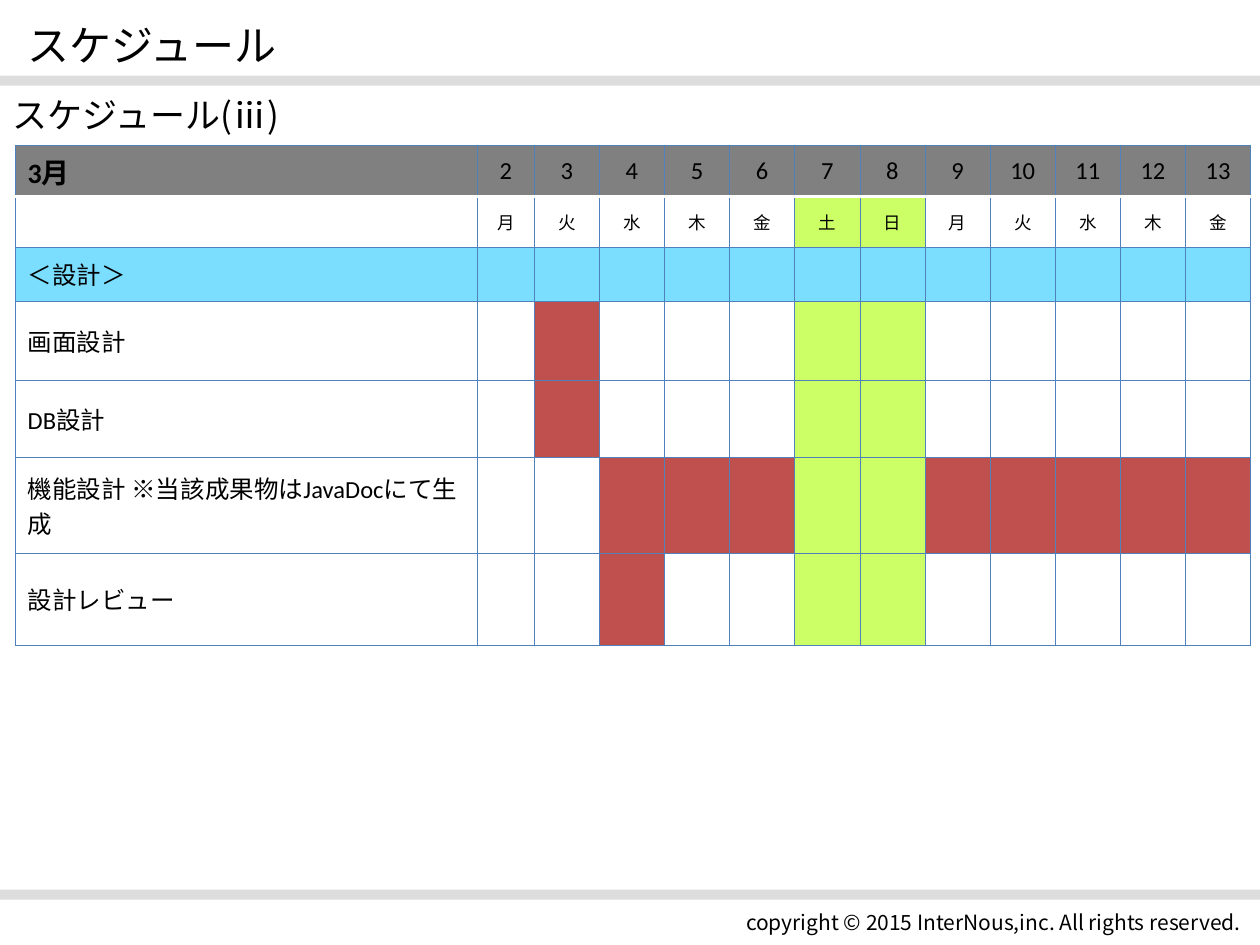
from lxml.etree import SubElement
from pptx import Presentation
from pptx.dml.color import RGBColor
from pptx.enum.shapes import MSO_SHAPE
from pptx.enum.text import MSO_ANCHOR, PP_ALIGN
from pptx.oxml.ns import qn
from pptx.util import Inches, Pt

COLORS = {
    "text": "000000", "bar": "DDDDDD", "header": "808080", "plain": "FFFFFF",
    "weekend": "CCFF66", "section": "7BDEFF", "work": "C0504D", "grid": "4F81BD",
}
JAPANESE_FONT = "Noto Sans CJK JP"
TABLE_FONT = "Calibri"
FIRST_DAY = 2
WEEKDAYS = "月火水木金土日月火水木金"
WEEKEND = "土日"
TASKS = [
    ("画面設計", {3}),
    ("DB設計", {3}),
    ("機能設計 ※当該成果物はJavaDocにて生成", {4, 5, 6, 9, 10, 11, 12, 13}),
    ("設計レビュー", {4}),
]
ROW_HEIGHTS = [0.41, 0.38, 0.43, 0.63, 0.61, 0.76, 0.73]
TABLE_LEFT, TABLE_TOP, TABLE_WIDTH = 0.12, 1.15, 9.81
TASK_WIDTH, FIRST_DAY_WIDTH = 3.67, 0.45


def rgb(role):
    return RGBColor.from_string(COLORS[role])


def add_run(paragraph, text, size, font, bold=False):
    run = paragraph.add_run()
    run.text = text
    run.font.size = Pt(size)
    run.font.bold = bold
    run.font.name = font
    run.font.color.rgb = rgb("text")
    SubElement(run.font._element, qn("a:ea"), typeface=JAPANESE_FONT)


def add_label(slide, text, box, size, align=PP_ALIGN.LEFT):
    frame = slide.shapes.add_textbox(*map(Inches, box)).text_frame
    frame.word_wrap = True
    frame.vertical_anchor = MSO_ANCHOR.MIDDLE
    frame.paragraphs[0].alignment = align
    add_run(frame.paragraphs[0], text, size, JAPANESE_FONT)


def add_bar(slide, top):
    bar = slide.shapes.add_shape(
        MSO_SHAPE.RECTANGLE, 0, Inches(top), Inches(10), Inches(0.08))
    bar.shadow.inherit = False
    bar.fill.solid()
    bar.fill.fore_color.rgb = rgb("bar")
    bar.line.fill.background()


def set_border(cell, side, role, width):
    line = SubElement(cell._tc.get_or_add_tcPr(), qn(f"a:{side}"), w=str(Pt(width)))
    fill = SubElement(line, qn("a:solidFill"))
    SubElement(fill, qn("a:srgbClr"), val=COLORS[role])


def style_cell(cell, text, role, size, row, align, bold=False):
    for side in ("lnL", "lnR", "lnT", "lnB"):
        under_header = (row, side) in {(0, "lnB"), (1, "lnT")}
        set_border(cell, side, *(("plain", 1.47) if under_header else ("grid", 0.45)))
    cell.fill.solid()
    cell.fill.fore_color.rgb = rgb(role)
    cell.vertical_anchor = MSO_ANCHOR.MIDDLE
    paragraph = cell.text_frame.paragraphs[0]
    paragraph.alignment = align
    add_run(paragraph, text, size, TABLE_FONT, bold)


def day_role(day, weekday, worked):
    if weekday in WEEKEND:
        return "weekend"
    return "work" if day in worked else "plain"


def schedule_rows():
    days = list(enumerate(WEEKDAYS, FIRST_DAY))
    yield 14, [("3月", "header")] + [(str(day), "header") for day, _ in days]
    yield 10, [("", "plain")] + [
        (weekday, day_role(day, weekday, ())) for day, weekday in days]
    yield 14, [("＜設計＞", "section")] + [("", "section")] * len(days)
    for task, worked in TASKS:
        yield 14, [(task, "plain")] + [
            ("", day_role(day, weekday, worked)) for day, weekday in days]


def add_schedule(slide):
    day_count = len(WEEKDAYS)
    table = slide.shapes.add_table(
        len(ROW_HEIGHTS), day_count + 1, Inches(TABLE_LEFT), Inches(TABLE_TOP),
        Inches(TABLE_WIDTH), Inches(sum(ROW_HEIGHTS))).table
    table.first_row = table.horz_banding = False
    day_width = (TABLE_WIDTH - TASK_WIDTH - FIRST_DAY_WIDTH) / (day_count - 1)
    widths = [TASK_WIDTH, FIRST_DAY_WIDTH] + [day_width] * (day_count - 1)
    for column, width in zip(table.columns, widths):
        column.width = Inches(width)
    for row, height in zip(table.rows, ROW_HEIGHTS):
        row.height = Inches(height)
    for row, (size, entries) in enumerate(schedule_rows()):
        for column, (text, role) in enumerate(entries):
            is_month = row == column == 0
            style_cell(table.cell(row, column), text, role, 16 if is_month else size,
                       row, PP_ALIGN.CENTER if column else PP_ALIGN.LEFT, is_month)


def main():
    presentation = Presentation()
    presentation.slide_width = Inches(10)
    presentation.slide_height = Inches(7.5)
    slide = presentation.slides.add_slide(presentation.slide_layouts[6])
    add_label(slide, "スケジュール", (0.12, 0.05, 7, 0.61), 24)
    add_label(slide, "copyright © 2015 InterNous,inc. All rights reserved.",
              (2.95, 7.14, 7, 0.36), 12, PP_ALIGN.RIGHT)
    for top in (0.6, 7.06):
        add_bar(slide, top)
    add_label(slide, "スケジュール(ⅲ)", (0, 0.68, 2.6, 0.45), 20)
    add_schedule(slide)
    presentation.save("out.pptx")


if __name__ == "__main__":
    main()
